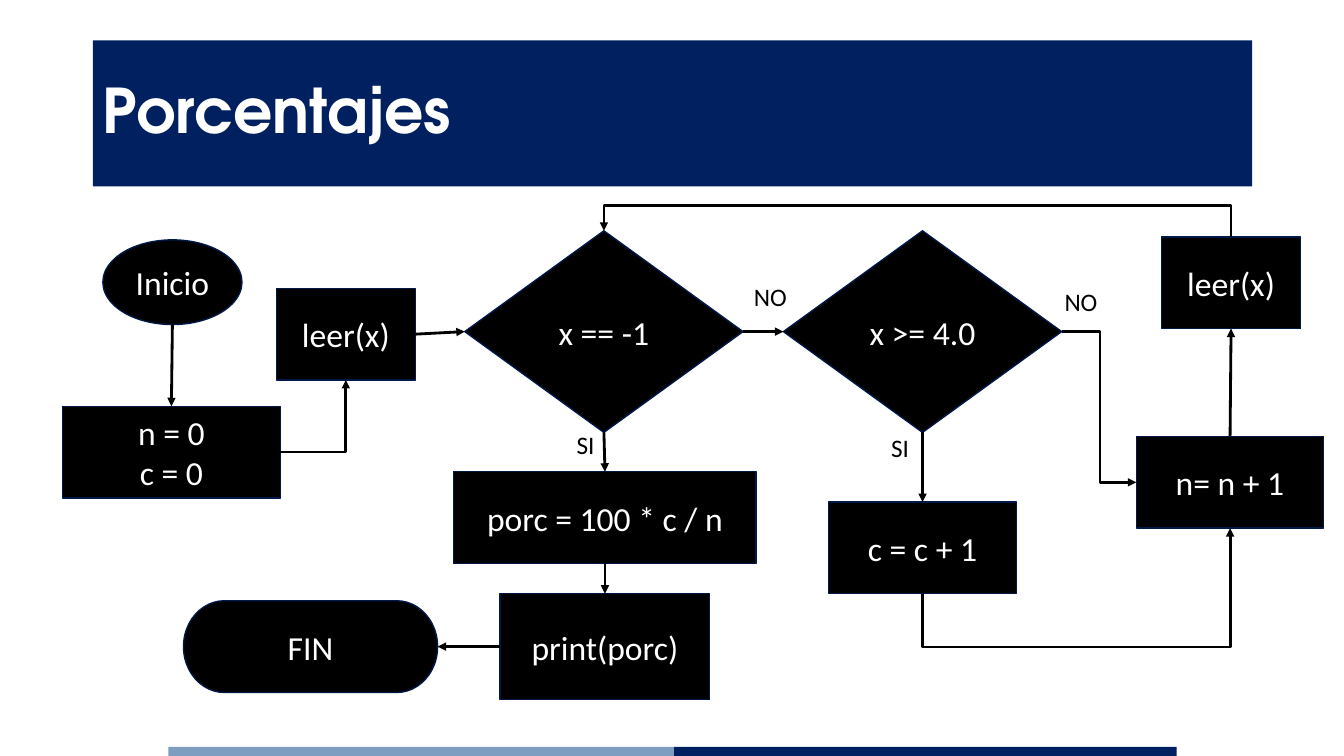
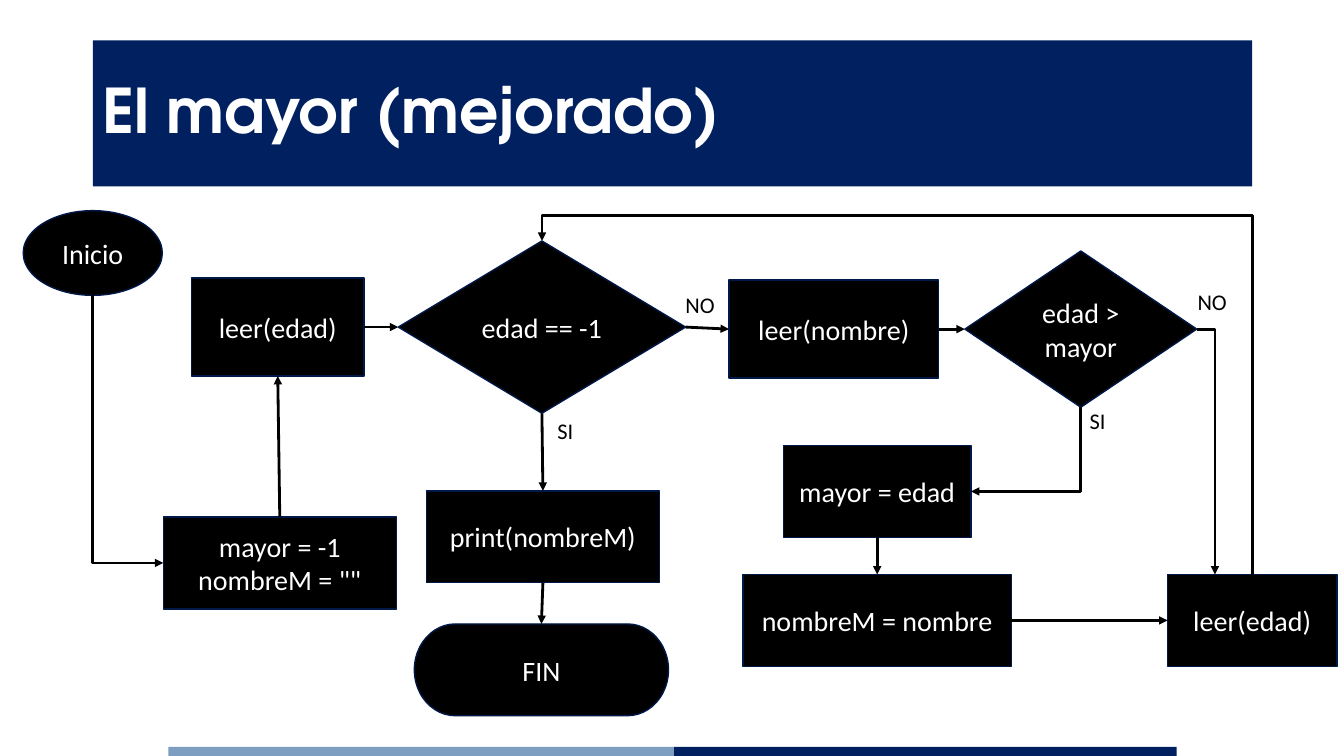
"""Build two flowchart slides."""
import lxml.etree
import pptx
import pptx.dml.color
import pptx.enum.shapes
import pptx.enum.text
import pptx.oxml.ns
import pptx.util

Inches = pptx.util.Inches
Pt = pptx.util.Pt
qn = pptx.oxml.ns.qn
KIND = pptx.enum.shapes.MSO_SHAPE
WIRE = pptx.enum.shapes.MSO_CONNECTOR
ALIGN = pptx.enum.text.PP_ALIGN
ANCHOR = pptx.enum.text.MSO_ANCHOR
SIZE = pptx.enum.text.MSO_AUTO_SIZE

NAVY, SKY, EDGE, BLACK, WHITE = "002060", "7D9EC0", "001847", "000000", "FFFFFF"
OVAL, FIN = KIND.OVAL, KIND.FLOWCHART_TERMINATOR
TEST, STEP = KIND.FLOWCHART_DECISION, KIND.FLOWCHART_PROCESS
TOP, LEFT, BOTTOM, RIGHT = range(4)

CHARTS = [
    {
        "title": "Porcentajes", "size": 24, "note": 18,
        "nodes": {
            "start": (OVAL, 1.02, 2.38, 1.38, 0.84, "Inicio"),
            "init": (STEP, 0.62, 4.03, 2.16, 0.91, "n = 0\nc = 0"),
            "read": (STEP, 2.74, 2.86, 1.38, 0.91, "leer(x)"),
            "done": (TEST, 4.61, 2.29, 2.76, 2, "x == -1"),
            "pass": (TEST, 7.77, 2.29, 2.76, 2, "x >= 4.0"),
            "count": (STEP, 8.22, 4.98, 1.86, 0.91, "c = c + 1"),
            "total": (STEP, 11.27, 4.33, 1.86, 0.91, "n= n + 1"),
            "next": (STEP, 11.52, 2.35, 1.38, 0.91, "leer(x)"),
            "share": (STEP, 4.5, 4.68, 3, 0.91, "porc = 100 * c / n"),
            "print": (STEP, 4.96, 5.89, 2.08, 1.05, "print(porc)"),
            "end": (FIN, 1.82, 5.96, 2.52, 0.91, "FIN"),
        },
        "links": [
            ("start", BOTTOM, "init", TOP),
            ("init", RIGHT, "read", BOTTOM),
            ("read", RIGHT, "done", LEFT),
            ("done", RIGHT, "pass", LEFT),
            ("done", BOTTOM, "share", TOP),
            ("share", BOTTOM, "print", TOP),
            ("print", LEFT, "end", RIGHT),
            ("pass", BOTTOM, "count", TOP),
            ("pass", RIGHT, "total", LEFT, 10.91),
            ("count", BOTTOM, "total", BOTTOM, 6.42),
            ("total", TOP, "next", BOTTOM),
            ("next", TOP, "done", TOP, 2.04),
        ],
        "notes": [("NO", 7.38, 2.74), ("SI", 5.62, 4.21),
                  ("NO", 10.46, 2.79), ("SI", 8.74, 4.24)],
    },
    {
        "title": "El mayor (mejorado)", "size": 20, "note": 16,
        "nodes": {
            "start": (OVAL, 0.23, 2.09, 1.38, 0.84, "Inicio"),
            "init": (STEP, 1.62, 5.13, 2.31, 0.91, 'mayor = -1\nnombreM = ""'),
            "read": (STEP, 1.9, 2.76, 1.71, 0.97, "leer(edad)"),
            "done": (TEST, 3.95, 2.39, 2.85, 1.71, "edad == -1"),
            "name": (STEP, 7.23, 2.78, 2.08, 0.97, "leer(nombre)"),
            "more": (TEST, 9.57, 2.49, 2.3, 1.55, "edad > mayor"),
            "age": (STEP, 7.77, 4.42, 1.86, 0.91, "mayor = edad"),
            "keep": (STEP, 7.37, 5.7, 2.66, 0.91, "nombreM = nombre"),
            "next": (STEP, 11.58, 5.7, 1.68, 0.91, "leer(edad)"),
            "print": (STEP, 4.23, 4.87, 2.31, 0.91, "print(nombreM)"),
            "end": (FIN, 4.11, 6.19, 2.52, 0.91, "FIN"),
        },
        "links": [
            ("start", BOTTOM, "init", LEFT),
            ("init", TOP, "read", BOTTOM),
            ("read", RIGHT, "done", LEFT),
            ("done", RIGHT, "name", LEFT),
            ("done", BOTTOM, "print", TOP),
            ("print", BOTTOM, "end", TOP),
            ("name", RIGHT, "more", LEFT),
            ("more", BOTTOM, "age", RIGHT),
            ("more", RIGHT, "next", TOP, None, -0.37),
            ("age", BOTTOM, "keep", TOP),
            ("keep", RIGHT, "next", LEFT),
            ("next", TOP, "done", TOP, 2.14),
        ],
        "notes": [("NO", 6.7, 2.84), ("SI", 5.43, 4.09),
                  ("SI", 10.71, 3.99), ("NO", 11.78, 2.81)],
    },
]


def tint(code):
    """Turn a hex string into a colour."""
    return pptx.dml.color.RGBColor.from_string(code)


def apply(item, **values):
    """Set each given attribute."""
    for key, value in values.items():
        setattr(item, key, value)


def paint(shape, code):
    """Give a shape a solid fill."""
    shape.fill.solid()
    shape.fill.fore_color.rgb = tint(code)


def write(shape, text, code, align, wrap=True, auto=SIZE.NONE, anchor=ANCHOR.MIDDLE,
          space=None, **font):
    """Fill a shape with styled text."""
    frame = shape.text_frame
    frame.text = text
    apply(frame, word_wrap=wrap, auto_size=auto, vertical_anchor=anchor)
    for para in frame.paragraphs:
        apply(para, alignment=align, line_spacing=space)
        for run in para.runs:
            apply(run.font, **font)
            run.font.color.rgb = tint(code)


def head(slide, text):
    """Place the title band."""
    title = slide.shapes.title
    apply(title, left=Inches(0.92), top=Inches(0.4), width=Inches(11.5), height=Inches(1.45))
    paint(title, NAVY)
    write(title, text, WHITE, ALIGN.LEFT, space=0.9, name="TeX Gyre Adventor",
          size=Pt(44), bold=True)


def bars(slide, layout):
    """Put the two foot bars on the layout."""
    for index, (left, width, code) in enumerate([(1.67, 5.01, SKY), (6.68, 4.99, NAVY)]):
        bar = slide.shapes.add_shape(KIND.RECTANGLE, Inches(left), Inches(7.41),
                                     Inches(width), Inches(0.09))
        bar.shadow.inherit = False
        paint(bar, code)
        bar.line.fill.background()
        bar.element.nvSpPr.cNvPr.set("id", str(50 + index))
        layout.shapes.element.append(bar.element)


def node(slide, size, kind, left, top, width, height, text):
    """Add one flowchart box."""
    box = slide.shapes.add_shape(kind, Inches(left), Inches(top), Inches(width), Inches(height))
    box.shadow.inherit = False
    paint(box, BLACK)
    box.line.color.rgb = tint(EDGE)
    box.line.width = Pt(1)
    write(box, text, WHITE, ALIGN.CENTER, name="Calibri", size=Pt(size))
    return box


def note(slide, size, text, left, top):
    """Add one branch label."""
    box = slide.shapes.add_textbox(Inches(left), Inches(top), Inches(0.64), Inches(size / 45))
    write(box, text, BLACK, ALIGN.LEFT, auto=SIZE.SHAPE_TO_FIT_TEXT, anchor=ANCHOR.TOP,
          name="Calibri", size=Pt(size))


def spot(box, side):
    """Find the middle of a side."""
    across = {LEFT: 0, RIGHT: box.width}.get(side, box.width // 2)
    down = {TOP: 0, BOTTOM: box.height}.get(side, box.height // 2)
    return box.left + across, box.top + down


def bend(wire, start, stop, upright, square, turn):
    """Shape an elbow from its start, end and turn."""
    run, drop = stop[0] - start[0], stop[1] - start[1]
    wide, high, spin = abs(run), abs(drop), 0
    flips = run < 0, drop < 0
    if upright:
        wide, high = high, wide
        spin = 270 if (run < 0) == (drop < 0) else 90
        flips = (drop > 0, run < 0) if spin == 270 else (drop < 0, run > 0)
    apply(wire, left=(start[0] + stop[0] - wide) // 2, top=(start[1] + stop[1] - high) // 2,
          width=wide, height=high)
    frame = wire.element.spPr.find(qn("a:xfrm"))
    for key, value in zip(("rot", "flipH", "flipV"), (spin * 60000, *map(int, flips))):
        frame.set(key, str(value))
    shape = wire.element.spPr.find(qn("a:prstGeom"))
    if square:
        shape.set("prst", "bentConnector2")
    else:
        ratio = (Inches(turn) - start[upright]) / (stop[upright] - start[upright])
        guides = shape.find(qn("a:avLst"))
        lxml.etree.SubElement(guides, qn("a:gd"), name="adj1", fmla=f"val {round(ratio * 100000)}")


def link(slide, boxes, first, out, last, into, turn=None, shift=0):
    """Join two boxes with an arrow."""
    tail, goal = boxes[first], boxes[last]
    start, stop = spot(tail, out), spot(goal, into)
    stop = stop[0] + Inches(shift), stop[1]
    square = out % 2 != into % 2
    elbow = square or turn is not None
    wire = slide.shapes.add_connector(WIRE.ELBOW if elbow else WIRE.STRAIGHT, *start, *stop)
    wire.begin_connect(tail, out)
    if tail.auto_shape_type == OVAL:
        wire.element.find(".//" + qn("a:stCxn")).set("idx", str(out * 2))
    if not shift:
        wire.end_connect(goal, into)
    if elbow:
        bend(wire, start, stop, out % 2 == 0, square, turn)
    wire.line.color.rgb = tint(BLACK)
    wire.line.width = Pt(2)
    props = wire.element.spPr
    lxml.etree.SubElement(props.find(qn("a:ln")), qn("a:tailEnd"), type="triangle")
    lxml.etree.SubElement(props, qn("a:effectLst"))


def main():
    """Build and save the deck."""
    deck = pptx.Presentation()
    apply(deck, slide_width=Inches(13.33), slide_height=Inches(7.5))
    layout = deck.slide_layouts[5]
    for index, chart in enumerate(CHARTS):
        slide = deck.slides.add_slide(layout)
        if index == 0:
            bars(slide, layout)
        head(slide, chart["title"])
        boxes = {key: node(slide, chart["size"], *spec) for key, spec in chart["nodes"].items()}
        for ends in chart["links"]:
            link(slide, boxes, *ends)
        for label in chart["notes"]:
            note(slide, chart["note"], *label)
    deck.save("out.pptx")


if __name__ == "__main__":
    main()
